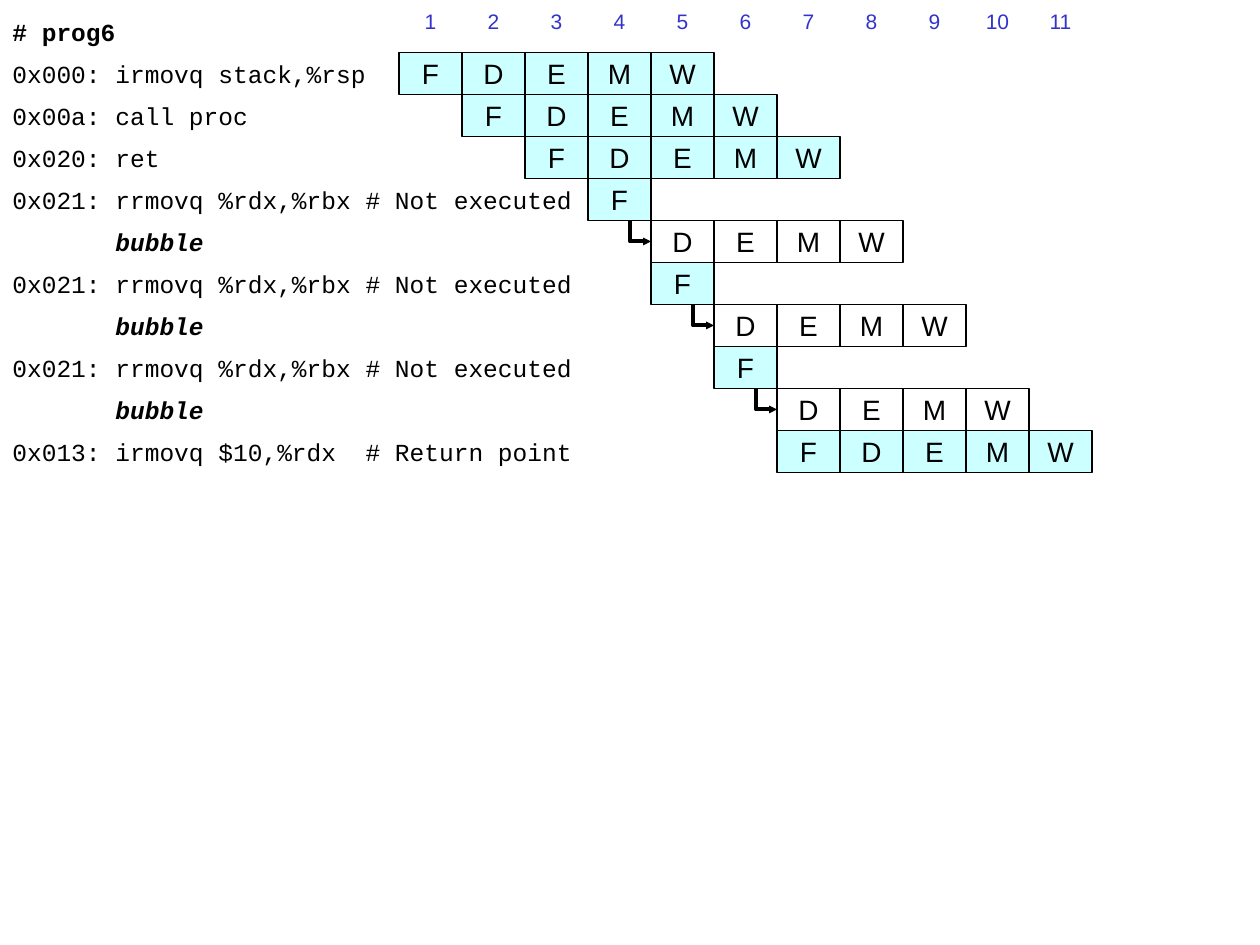
"""Build the pipeline diagram of prog6, with its bubbles after ret."""
from typing import NamedTuple

import lxml.etree
import pptx
import pptx.dml.color
import pptx.enum.shapes
import pptx.enum.text
import pptx.oxml.ns
import pptx.util

Pt = pptx.util.Pt
Align = pptx.enum.text.PP_ALIGN

CYCLE_WIDTH, ROW_HEIGHT = 36, 24
PIPELINE_LEFT, TITLE_TOP = 228, 6
LISTING_WIDTH = 204
CYCLES = 11
BLACK, WHITE, CYAN, BLUE = "000000", "FFFFFF", "CCFFFF", "3333CC"


class TextStyle(NamedTuple):
    font: str
    size: int
    color: str = BLACK
    align: Align = Align.CENTER
    bold: bool = False
    italic: bool = False


class Instruction(NamedTuple):
    code: str
    first_cycle: int
    stages: str
    is_bubble: bool = False


STAGE = TextStyle("Arial", 16)
CYCLE_NUMBER = TextStyle("Arial", 12, BLUE)
CODE = TextStyle("Courier New", 14, align=Align.LEFT)
TITLE = CODE._replace(bold=True)
BUBBLE = TITLE._replace(italic=True)

NOT_EXECUTED = "0x021: rrmovq %rdx,%rbx # Not executed"
BUBBLE_CODE = "       bubble"
INSTRUCTIONS = [
    Instruction("0x000: irmovq stack,%rsp", 1, "FDEMW"),
    Instruction("0x00a: call proc", 2, "FDEMW"),
    Instruction("0x020: ret", 3, "FDEMW"),
    Instruction(NOT_EXECUTED, 4, "F"),
    Instruction(BUBBLE_CODE, 5, "DEMW", True),
    Instruction(NOT_EXECUTED, 5, "F"),
    Instruction(BUBBLE_CODE, 6, "DEMW", True),
    Instruction(NOT_EXECUTED, 6, "F"),
    Instruction(BUBBLE_CODE, 7, "DEMW", True),
    Instruction("0x013: irmovq $10,%rdx  # Return point", 7, "FDEMW"),
]


def rgb(value: str) -> pptx.dml.color.RGBColor:
    return pptx.dml.color.RGBColor.from_string(value)


def cycle_left(cycle: int) -> float:
    return PIPELINE_LEFT + (cycle - 1) * CYCLE_WIDTH


def add_box(shapes, text: str, left: float, top: float, width: float,
            style: TextStyle, fill: str = WHITE, outlined: bool = False) -> None:
    box = shapes.add_shape(pptx.enum.shapes.MSO_SHAPE.RECTANGLE,
                           Pt(left), Pt(top), Pt(width), Pt(ROW_HEIGHT))
    box.shadow.inherit = False
    box.fill.solid()
    box.fill.fore_color.rgb = rgb(fill)
    if outlined:
        box.line.color.rgb = rgb(BLACK)
        box.line.width = Pt(1)
    else:
        box.line.fill.background()
    frame = box.text_frame
    frame.text = text
    frame.word_wrap = False
    frame.vertical_anchor = pptx.enum.text.MSO_ANCHOR.MIDDLE
    paragraph = frame.paragraphs[0]
    paragraph.alignment = style.align
    font = paragraph.runs[0].font
    font.name, font.size = style.font, Pt(style.size)
    font.bold, font.italic = style.bold, style.italic
    font.color.rgb = rgb(style.color)


def add_bubble_arrow(shapes, tip_left: float, top: float) -> None:
    start, middle = tip_left - CYCLE_WIDTH / 3, top + ROW_HEIGHT / 2
    outline = shapes.build_freeform(Pt(start), Pt(top))
    outline.add_line_segments([(Pt(start), Pt(middle)), (Pt(tip_left), Pt(middle))],
                              close=False)
    arrow = outline.convert_to_shape()
    arrow.shadow.inherit = False
    arrow.fill.background()
    arrow.line.color.rgb = rgb(BLACK)
    arrow.line.width = Pt(2.25)
    lxml.etree.SubElement(arrow.line._get_or_add_ln(), pptx.oxml.ns.qn("a:tailEnd"),
                          type="triangle", w="sm", len="sm")


def add_instruction(shapes, instruction: Instruction, top: float) -> None:
    add_box(shapes, instruction.code, 0, top, LISTING_WIDTH,
            BUBBLE if instruction.is_bubble else CODE)
    if instruction.is_bubble:
        add_bubble_arrow(shapes, cycle_left(instruction.first_cycle), top)
    for cycle, stage in enumerate(instruction.stages, instruction.first_cycle):
        add_box(shapes, stage, cycle_left(cycle), top, CYCLE_WIDTH, STAGE,
                WHITE if instruction.is_bubble else CYAN, outlined=True)


def main() -> None:
    deck = pptx.Presentation()
    deck.slide_width, deck.slide_height = Pt(720), Pt(540)
    shapes = deck.slides.add_slide(deck.slide_layouts[6]).shapes
    for cycle in range(1, CYCLES + 1):
        add_box(shapes, str(cycle), cycle_left(cycle), 0, CYCLE_WIDTH, CYCLE_NUMBER)
    add_box(shapes, "# prog6", 0, TITLE_TOP, LISTING_WIDTH, TITLE)
    for row, instruction in enumerate(INSTRUCTIONS, 1):
        add_instruction(shapes, instruction, TITLE_TOP + row * ROW_HEIGHT)
    deck.save("out.pptx")


if __name__ == "__main__":
    main()
